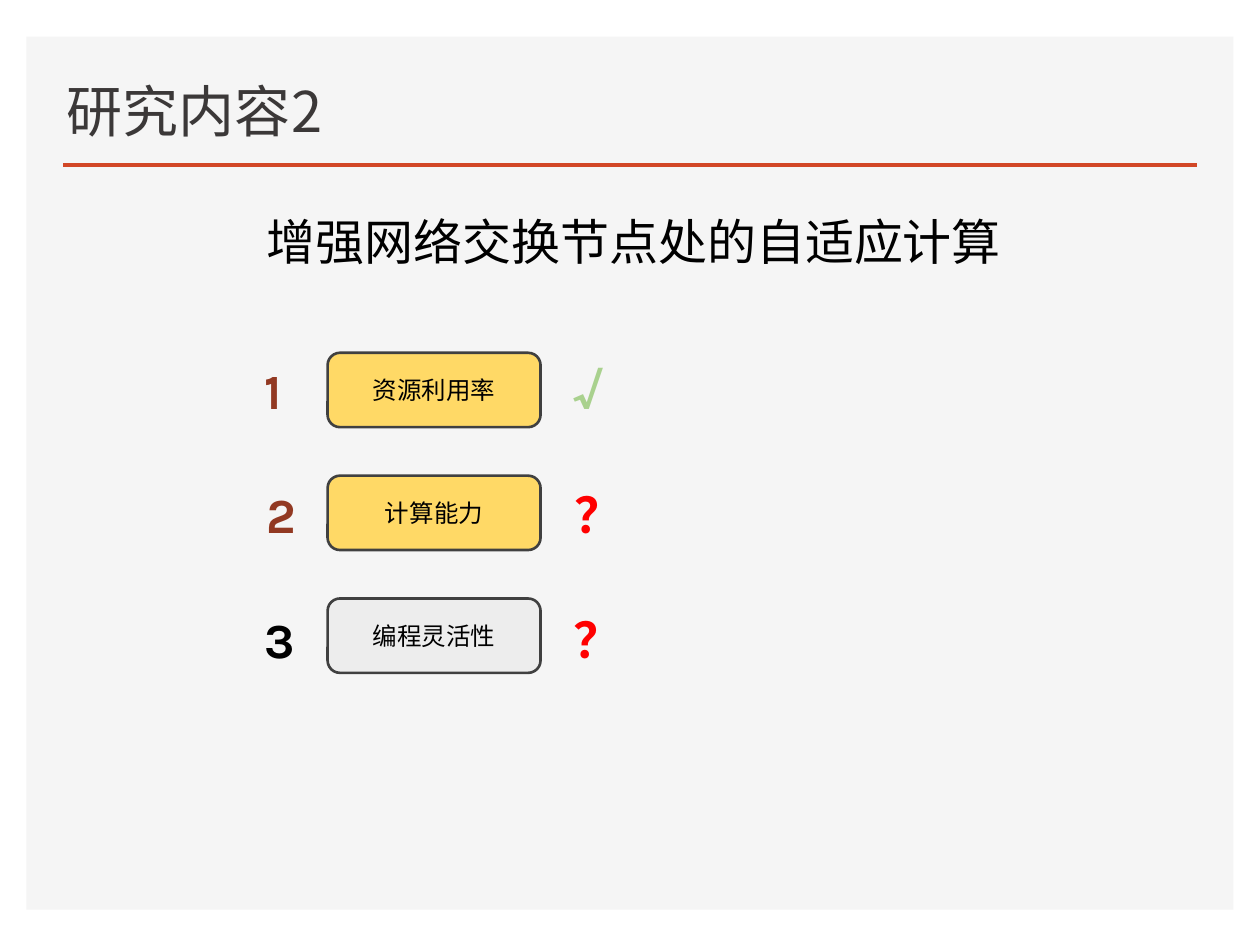
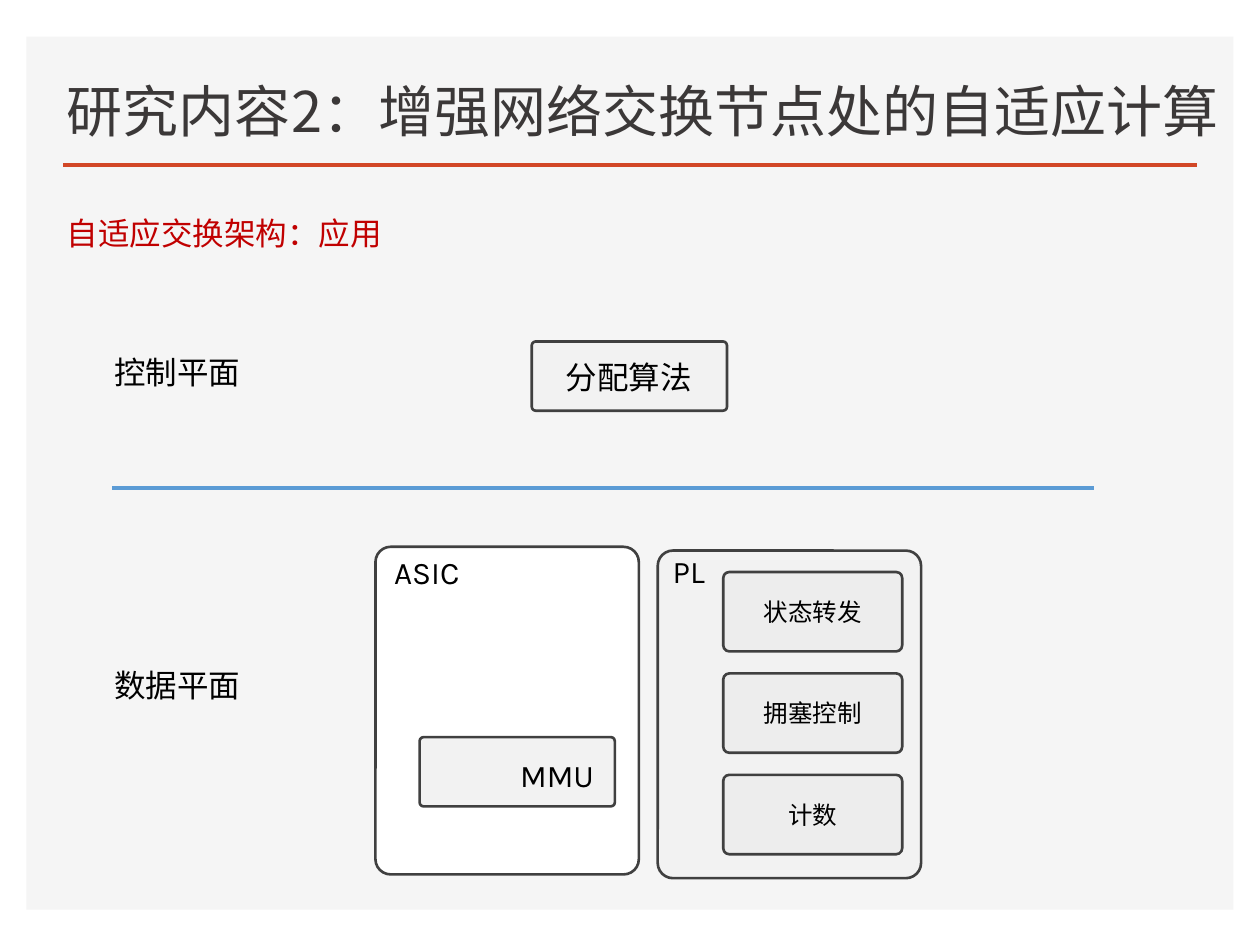
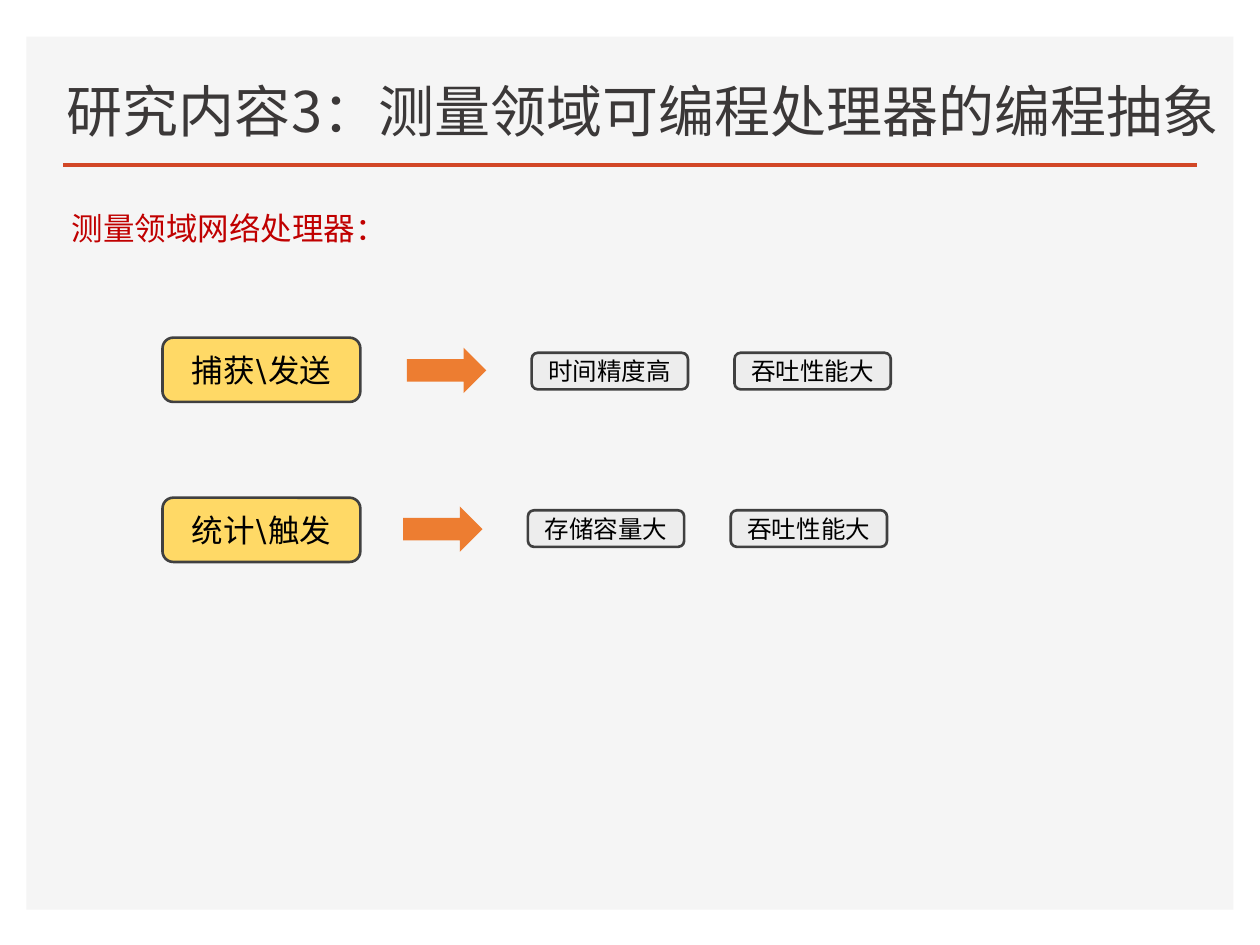
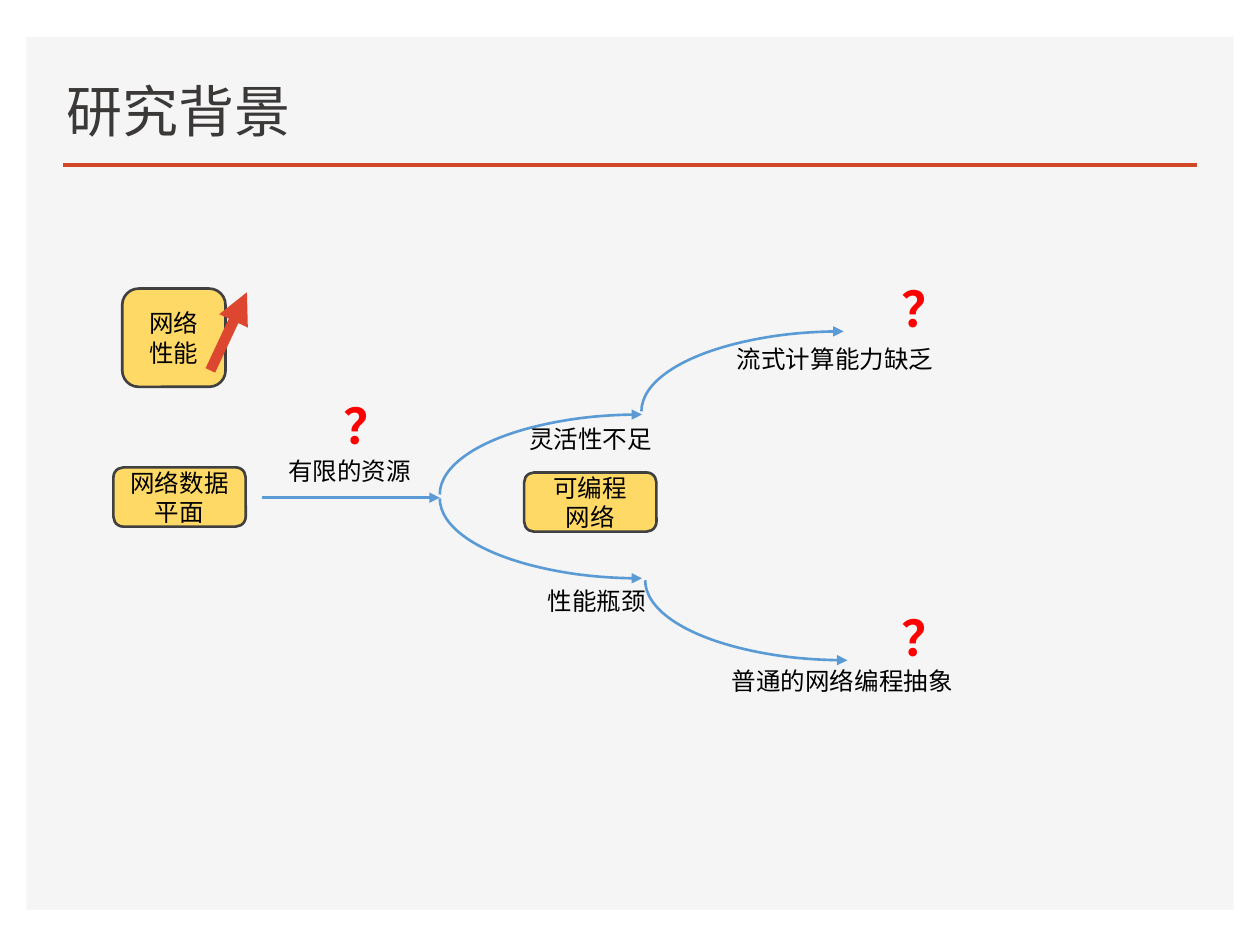
from lxml import etree
from pptx import Presentation
from pptx import util as u
from pptx.dml.color import RGBColor
from pptx.enum import lang, shapes, text
from pptx.oxml.ns import qn

COLORS = {
    "panel": "F5F5F5", "rule": "D24726", "title": "3B3838", "black": "000000",
    "white": "FFFFFF", "yellow": "FFD966", "gray": "EDEDED", "light": "F2F2F2",
    "outline": "404040", "green": "A9D18E", "red": "FF0000", "heading": "C00000",
    "brown": "923922", "blue": "5B9BD5", "orange": "ED7D31", "arrow": "DD462F",
}
RGB = {name: RGBColor.from_string(value) for name, value in COLORS.items()}
BODY_FONT, TITLE_FONT = "Karla", "Noto Sans CJK SC"
SHAPE = shapes.MSO_SHAPE
ROUND, ARROW = SHAPE.ROUNDED_RECTANGLE, SHAPE.RIGHT_ARROW


def add_item(slide, kind, area, lines=(), size=14, color="black", bold=False,
             fill=None, line="outline", corner=None, wrap=False):
    """Add a preset shape, or a text box when kind is None; area is in inches."""
    area = [u.Inches(value) for value in area]
    if kind is None:
        shape = slide.shapes.add_textbox(*area)
        shape.text_frame.word_wrap = wrap
        shape.text_frame.auto_size = text.MSO_AUTO_SIZE.SHAPE_TO_FIT_TEXT
    else:
        shape = slide.shapes.add_shape(kind, *area)
        shape.shadow.inherit = False
        shape.text_frame.vertical_anchor = text.MSO_ANCHOR.MIDDLE
        if fill:
            shape.fill.solid()
            shape.fill.fore_color.rgb = RGB[fill]
        else:
            shape.fill.background()
        if line:
            shape.line.color.rgb = RGB[line]
            shape.line.width = u.Pt(1.5)
        else:
            shape.line.fill.background()
        if corner:
            shape.adjustments[0] = corner
    if lines:
        shape.text_frame.text = "\n".join(lines)
    for paragraph in shape.text_frame.paragraphs:
        if kind is not None:
            paragraph.alignment = text.PP_ALIGN.CENTER
        for run in paragraph.runs:
            run.font.color.rgb = RGB[color]
            formats = {"name": BODY_FONT, "size": u.Pt(size), "bold": bold,
                       "language_id": lang.MSO_LANGUAGE_ID.SIMPLIFIED_CHINESE}
            for name, value in formats.items():
                setattr(run.font, name, value)
            etree.SubElement(run.font._element, qn("a:ea"), typeface=BODY_FONT)
    return shape


def add_line(slide, ends, color, width, arrow=False):
    line = slide.shapes.add_connector(
        shapes.MSO_CONNECTOR.STRAIGHT, *[u.Inches(value) for value in ends])
    line.line.color.rgb = RGB[color]
    line.line.width = u.Pt(width)
    properties = line.element.spPr
    if arrow:
        etree.SubElement(properties.find(qn("a:ln")), qn("a:tailEnd"), type="triangle")
    etree.SubElement(properties, qn("a:effectLst"))
    return line


presentation = Presentation()
presentation.slide_width, presentation.slide_height = u.Inches(10), u.Inches(7.5)
layout = presentation.slide_layouts[5]

# Slides and their titles
titles = [
    ("研究内容2", 9.45),
    ("研究内容2：增强网络交换节点处的自适应计算", 9.45),
    ("研究内容3：测量领域可编程处理器的编程抽象", 9.45),
    ("研究背景", 5.64),
]
slides = []
for words, width in titles:
    slide = presentation.slides.add_slide(layout)
    slides.append(slide)
    title = slide.shapes.title
    title.left, title.top, title.width, title.height = [
        u.Inches(value) for value in (0.43, 0.49, width, 0.7)]
    frame = title.text_frame
    frame.text = words
    frame.auto_size = text.MSO_AUTO_SIZE.NONE
    frame.vertical_anchor = text.MSO_ANCHOR.BOTTOM
    paragraph = frame.paragraphs[0]
    paragraph.alignment = text.PP_ALIGN.LEFT
    paragraph.line_spacing = 0.83
    font = paragraph.runs[0].font
    font.color.rgb = RGB["title"]
    for name, value in {"name": TITLE_FONT, "size": u.Pt(32), "bold": False,
                        "language_id": lang.MSO_LANGUAGE_ID.SIMPLIFIED_CHINESE}.items():
        setattr(font, name, value)
    etree.SubElement(font._element, qn("a:ea"), typeface=TITLE_FONT)
goals, architecture, processor, background = slides

# The panel and the rule belong to the layout, behind everything else
panel = add_item(goals, SHAPE.RECTANGLE, (0.21, 0.29, 9.58, 6.93), fill="panel", line=None)
rule = add_line(goals, (0.5, 1.31, 9.5, 1.31), "rule", 2)
for index, part in enumerate((panel, rule), 2):
    layout.shapes.element.insert(index, part.element)

# Slide 1: three goals
add_item(goals, None, (2.02, 1.63, 6.93, 0.57), ["增强网络交换节点处的自适应计算"], 28, wrap=True)
goal_rows = [
    ("资源利用率", "yellow", 2.0, "brown", "√", "green", 4.45, 0.46),
    ("计算能力", "yellow", 2.02, "brown", "？", "red", 4.46, 0.59),
    ("编程灵活性", "gray", 2.0, "black", "？", "red", 4.45, 0.59),
]
for row, (goal, fill, left, number_color, mark, mark_color, mark_left, mark_width) in enumerate(goal_rows):
    label_top = 2.81 + 0.99 * row
    add_item(goals, ROUND, (2.6, 2.8 + 0.975 * row, 1.69, 0.59), [goal], fill=fill)
    add_item(goals, None, (left, label_top, 0.43, 0.57), [str(row + 1)], 28, number_color, True)
    add_item(goals, None, (mark_left, label_top, mark_width, 0.57), [mark], 28, mark_color, True)

# Slide 2: control plane above data plane
add_item(architecture, None, (0.43, 1.65, 2.73, 0.4), ["自适应交换架构：应用"], 18, "heading")
add_line(architecture, (0.89, 3.87, 8.68, 3.87), "blue", 2.25)
blocks = [
    ((5.22, 4.37, 2.09, 2.6), "light"),
    ((2.98, 4.34, 2.09, 2.6), "white"),
    ((3.33, 5.85, 1.55, 0.55), "light"),
    ((4.22, 2.71, 1.55, 0.55), "light"),
]
for area, fill in blocks:
    add_item(architecture, ROUND, area, fill=fill, corner=0.058)
for row, function in enumerate(["状态转发", "拥塞控制", "计数"]):
    add_item(architecture, ROUND, (5.74, 4.54 + 0.805 * row, 1.42, 0.63), [function],
             fill="gray", corner=0.075)
block_labels = [
    ("控制平面", 0.81, 2.75, 1.21), ("数据平面", 0.81, 5.24, 1.21),
    ("分配算法", 4.39, 2.79, 1.21), ("MMU", 4.03, 5.95, 0.83),
    ("ASIC", 3.03, 4.34, 0.72), ("PL", 5.24, 4.33, 0.46),
]
for label, left, top, width in block_labels:
    add_item(architecture, None, (left, top, width, 0.4), [label], 18)

# Slide 3: each task leads to its demands
add_item(processor, None, (0.47, 1.61, 2.73, 0.4), ["测量领域网络处理器："], 18, "heading")
tasks = [
    ("捕获\\发送", 2.68, 3.23, 2.76, 2.8, ["时间精度高", "吞吐性能大"]),
    ("统计\\触发", 3.95, 3.2, 4.02, 4.05, ["存储容量大", "吞吐性能大"]),
]
for task, task_top, arrow_left, arrow_top, demand_top, demands in tasks:
    add_item(processor, ROUND, (1.29, task_top, 1.57, 0.51), [task], 18, fill="yellow")
    add_item(processor, ARROW, (arrow_left, arrow_top, 0.63, 0.36), fill="orange", line=None)
    for column, demand in enumerate(demands):
        add_item(processor, ROUND, (arrow_left + 0.99 + 1.61 * column, demand_top, 1.24, 0.29),
                 [demand], fill="gray")

# Slide 4: how the open questions branch
topics = [
    (["网络性能"], (0.97, 2.29, 0.82, 0.78)),
    (["网络数据", "平面"], (0.9, 3.71, 1.05, 0.47)),
    (["可编程", "网络"], (4.16, 3.75, 1.05, 0.47)),
]
for lines, area in topics:
    add_item(background, ROUND, area, lines, fill="yellow")
add_line(background, (1.67, 2.94, 1.96, 2.32), "arrow", 6, arrow=True)
add_line(background, (2.08, 3.95, 3.49, 3.95), "blue", 1.5, arrow=True)
for left, top, rises in [(3.49, 3.29, True), (3.49, 3.32, False),
                         (5.09, 2.63, True), (5.12, 3.97, False)]:
    branch = add_item(background, SHAPE.ARC, (left, top, 3.21, 1.27), line="blue")
    branch.rotation = 180
    if rises:
        branch.element.spPr.xfrm.set("flipV", "1")
    etree.SubElement(branch.element.spPr.find(qn("a:ln")), qn("a:headEnd"), type="triangle")
problems = [
    ("有限的资源", 2.19, 3.57, 1.18), ("灵活性不足", 4.1, 3.32, 1.18),
    ("性能瓶颈", 4.25, 4.6, 0.99), ("流式计算能力缺乏", 5.75, 2.68, 1.77),
    ("普通的网络编程抽象", 5.71, 5.24, 1.97),
]
for problem, left, top, width in problems:
    add_item(background, None, (left, top, width, 0.34), [problem])
for left, top in [(2.63, 3.09), (7.06, 2.16), (7.06, 4.77)]:
    add_item(background, None, (left, top, 0.59, 0.57), ["？"], 28, "red", True)

presentation.save("out.pptx")
